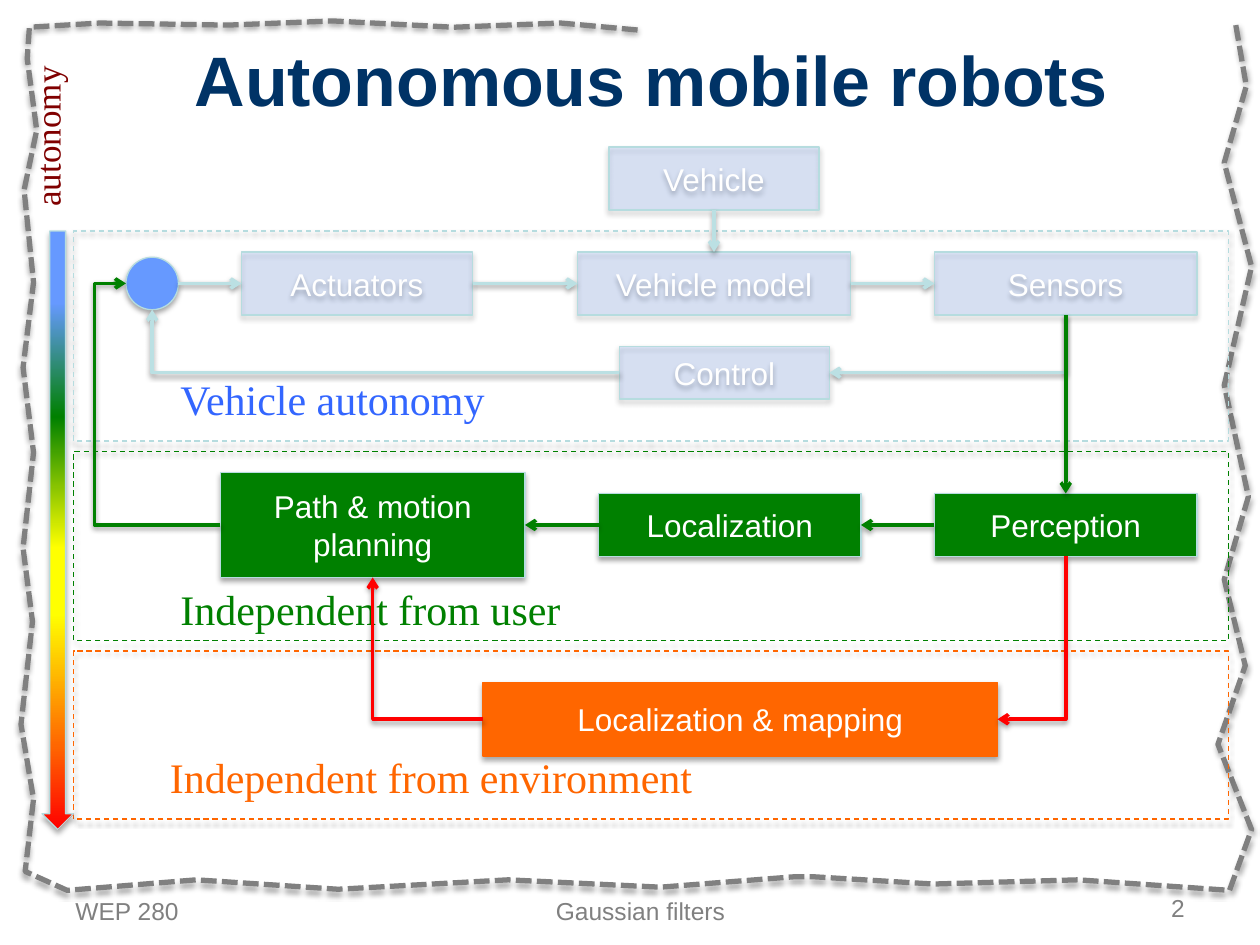
from lxml import etree
from pptx import Presentation
from pptx import util as u
from pptx.dml.color import RGBColor
from pptx.enum import dml, shapes, text
from pptx.oxml.ns import qn

PX = 7620  # EMU per px, 120 px to the inch
SANS, SERIF = "Arial", "Times New Roman"
BLUE, PALE, ARROW = "6699FF", "B6DCDF", "BBE0E3"
GREEN, ORANGE, RED, GREY, WHITE = "008000", "FF6600", "FF0000", "808080", "FFFFFF"
LEFT, CENTER, RIGHT = text.PP_ALIGN.LEFT, text.PP_ALIGN.CENTER, text.PP_ALIGN.RIGHT
TOP, MIDDLE = text.MSO_ANCHOR.TOP, text.MSO_ANCHOR.MIDDLE

FRAME = [
    (1177, 24), (1187, 82), (1166, 155), (1192, 254), (1166, 367), (1189, 473),
    (1166, 552), (1186, 634), (1160, 709), (1192, 790), (1171, 848), (1027, 838),
    (889, 842), (773, 835), (758, 835), (629, 845), (484, 838), (322, 847),
    (187, 838), (64, 848), (24, 830), (32, 761), (20, 690), (31, 592), (22, 522),
    (32, 431), (22, 350), (32, 269), (23, 181), (35, 124), (26, 56), (28, 26),
    (95, 22), (217, 24), (317, 20), (432, 26), (534, 22), (611, 29),
]


def rgb(value):
    return RGBColor.from_string(value)


def px(*values):
    return [u.Emu(round(v * PX)) for v in values]


def sub(parent, tag, **attrs):
    return etree.SubElement(parent, qn(tag), {k: str(v) for k, v in attrs.items()})


def add_shadow(sp, dist=1.8, alpha=35):
    sp_pr = sp._element.spPr
    effects = sp_pr.find(qn("a:effectLst"))
    if effects is None:
        effects = sub(sp_pr, "a:effectLst")
    shadow = sub(effects, "a:outerShdw", blurRad=u.Pt(3.1), dist=u.Pt(dist),
                 dir=5400000, rotWithShape=0)
    sub(sub(shadow, "a:srgbClr", val="000000"), "a:alpha", val=alpha * 1000)


def set_line(sp, color, width, dash=None):
    sp.line.color.rgb = rgb(color)
    sp.line.width = u.Pt(width)
    if dash:
        sp.line.dash_style = dash


def write(sp, words, size, color, font=SANS, align=LEFT, anchor=TOP, wrap=True, bold=False):
    tf = sp.text_frame
    tf.word_wrap = wrap
    tf.vertical_anchor = anchor
    p = tf.paragraphs[0]
    p.alignment = align
    r = p.add_run()
    r.text = words
    r.font.name, r.font.size, r.font.bold = font, u.Pt(size), bold
    r.font.color.rgb = rgb(color)
    return tf


def add_shape(s, kind, box, fill=None, line=PALE, alpha=None, dash=None):
    sp = s.shapes.add_shape(kind, *px(*box))
    sp.shadow.inherit = False
    if fill:
        sp.fill.solid()
        sp.fill.fore_color.rgb = rgb(fill)
    else:
        sp.fill.background()
    if alpha:
        color = sp._element.spPr.find(qn("a:solidFill")).find(qn("a:srgbClr"))
        sub(color, "a:alpha", val=alpha * 1000)
    set_line(sp, line, 0.75, dash)
    add_shadow(sp)
    return sp


def add_block(s, words, box, fill, line=PALE, alpha=None):
    sp = add_shape(s, shapes.MSO_SHAPE.RECTANGLE, box, fill, line, alpha)
    write(sp, words, 18, WHITE, align=CENTER, anchor=MIDDLE)


def add_label(s, words, box, size, color, wrap=True, rotation=0):
    sp = s.shapes.add_textbox(*px(*box))
    sp.rotation = rotation
    tf = write(sp, words, size, color, SERIF, wrap=wrap)
    tf.auto_size = text.MSO_AUTO_SIZE.SHAPE_TO_FIT_TEXT


def add_footer(s, words, box, align, anchor=TOP):
    write(s.shapes.add_textbox(*px(*box)), words, 14, GREY, align=align, anchor=anchor)


def add_arrow(s, x1, y1, x2, y2, color, bend=None, adjust=None):
    """Straight arrow, or one that bends: "across" or "down" is its first leg."""
    if bend == "down":  # lay it out across, then turn it a quarter about its centre
        cx, cy, dx, dy = (x1 + x2) / 2, (y1 + y2) / 2, abs(x2 - x1) / 2, abs(y2 - y1) / 2
        x1, y1, x2, y2 = cx - dy, cy - dx, cx + dy, cy + dx
    kind = shapes.MSO_CONNECTOR.ELBOW if bend else shapes.MSO_CONNECTOR.STRAIGHT
    c = s.shapes.add_connector(kind, *px(x1, y1, x2, y2))
    sp_pr = c._element.spPr
    geom = sp_pr.find(qn("a:prstGeom"))
    if adjust:
        sub(geom.find(qn("a:avLst")), "a:gd", name="adj1", fmla=f"val {adjust}")
    elif bend:
        geom.set("prst", "bentConnector2")
    if bend == "down":
        sp_pr.find(qn("a:xfrm")).set("rot", "5400000")
    set_line(c, color, 2)
    sub(sp_pr.find(qn("a:ln")), "a:tailEnd", type="arrow")
    add_shadow(c, 1.6, 38)


def add_frame(s):
    fb = s.shapes.build_freeform(*FRAME[0], scale=PX)
    fb.add_line_segments(FRAME[1:], close=False)
    sp = fb.convert_to_shape()
    sp.shadow.inherit = False
    sp.fill.background()
    set_line(sp, GREY, 3, dml.MSO_LINE.SQUARE_DOT)
    add_shadow(sp, 1.6, 38)


def add_autonomy_scale(s):
    sp = add_shape(s, shapes.MSO_SHAPE.DOWN_ARROW, (40, 220, 30, 570))
    sp.fill.gradient()
    sp.fill.gradient_angle = 270
    stops = sp._element.spPr.find(qn("a:gradFill")).find(qn("a:gsLst"))
    for stop in list(stops):
        stops.remove(stop)
    for pos, color in ((12, BLUE), (31, GREEN), (53, "FFFF00"),
                       (64, "FFFF00"), (86, ORANGE), (100, RED)):
        sub(sub(stops, "a:gs", pos=pos * 1000), "a:srgbClr", val=color)


def main():
    prs = Presentation()
    prs.slide_width, prs.slide_height = px(1200, 900)
    s = prs.slides.add_slide(prs.slide_layouts[5])

    # Frame and title
    add_frame(s)
    title = s.shapes.title
    title.left, title.top, title.width, title.height = px(60, 40, 1120, 70)
    tf = write(title, "Autonomous mobile robots", 40, "003366",
               align=CENTER, anchor=MIDDLE, bold=True)
    tf.auto_size = text.MSO_AUTO_SIZE.NONE

    # Zones of autonomy
    for top, height, color in ((220, 200, PALE), (430, 180, GREEN), (620, 160, ORANGE)):
        add_shape(s, shapes.MSO_SHAPE.RECTANGLE, (70, top, 1100, height),
                  line=color, dash=dml.MSO_LINE.DASH)

    # Blocks
    for words, box in (
        ("Vehicle", (580, 140, 200, 60)),
        ("Actuators", (230, 240, 220, 60)),
        ("Vehicle model", (550, 240, 260, 60)),
        ("Sensors", (890, 240, 250, 60)),
        ("Control", (590, 330, 200, 50)),
    ):
        add_block(s, words, box, BLUE, alpha=18)
    for words, box in (
        ("Path & motion planning", (210, 450, 290, 100)),
        ("Localization", (570, 470, 250, 60)),
        ("Perception", (890, 470, 250, 60)),
    ):
        add_block(s, words, box, GREEN)
    add_block(s, "Localization & mapping", (460, 650, 490, 70), ORANGE, ORANGE)
    add_shape(s, shapes.MSO_SHAPE.OVAL, (120, 245, 50, 50), BLUE)

    # Scale and labels
    add_autonomy_scale(s)
    add_label(s, "autonomy", (-34, 103, 158, 53), 20, "800000", wrap=False, rotation=270)
    add_label(s, "Vehicle autonomy", (160, 350, 350, 61), 24, "3366FF")
    add_label(s, "Independent from user", (160, 550, 400, 61), 24, GREEN)
    add_label(s, "Independent from environment", (150, 710, 528, 61), 24, ORANGE, wrap=False)

    # Arrows
    for arrow in (
        (1015, 300, 790, 355, ARROW, "down"),
        (590, 355, 145, 295, ARROW, "across"),
        (170, 270, 230, 270, ARROW),
        (450, 270, 550, 270, ARROW),
        (810, 270, 890, 270, ARROW),
        (680, 200, 680, 240, ARROW),
        (1015, 300, 1015, 470, GREEN),
        (890, 500, 820, 500, GREEN),
        (570, 500, 500, 500, GREEN),
        (210, 500, 120, 270, GREEN, "across", 133300),
        (1015, 530, 950, 685, RED, "down"),
        (460, 685, 355, 550, RED, "across"),
    ):
        add_arrow(s, *arrow)

    # Footer
    add_footer(s, "WEP 280", (60, 847, 280, 35), LEFT)
    add_footer(s, "Gaussian filters", (410, 847, 400, 35), CENTER)
    add_footer(s, "2", (860, 847, 280, 35), RIGHT, MIDDLE)

    prs.save("out.pptx")


if __name__ == "__main__":
    main()
